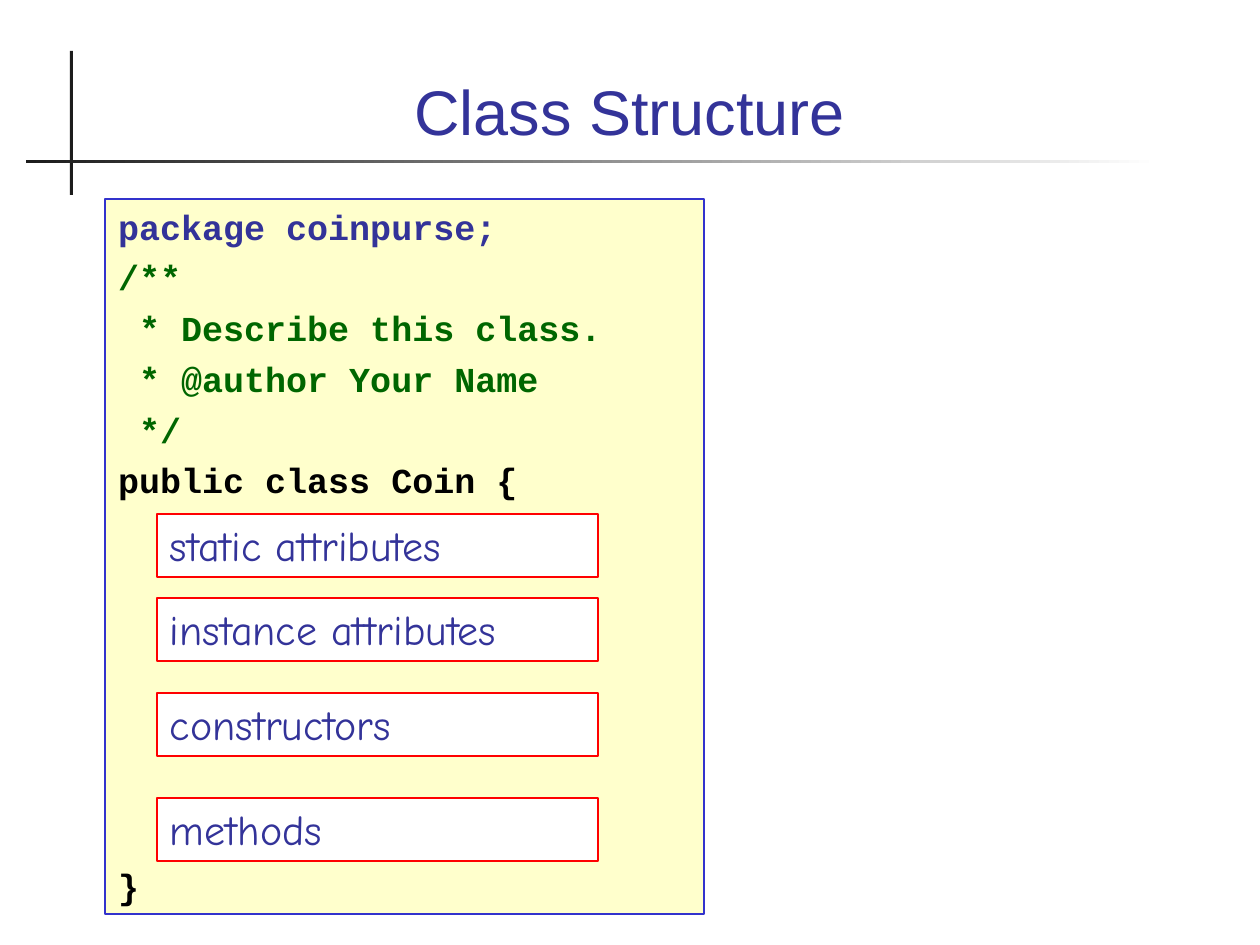
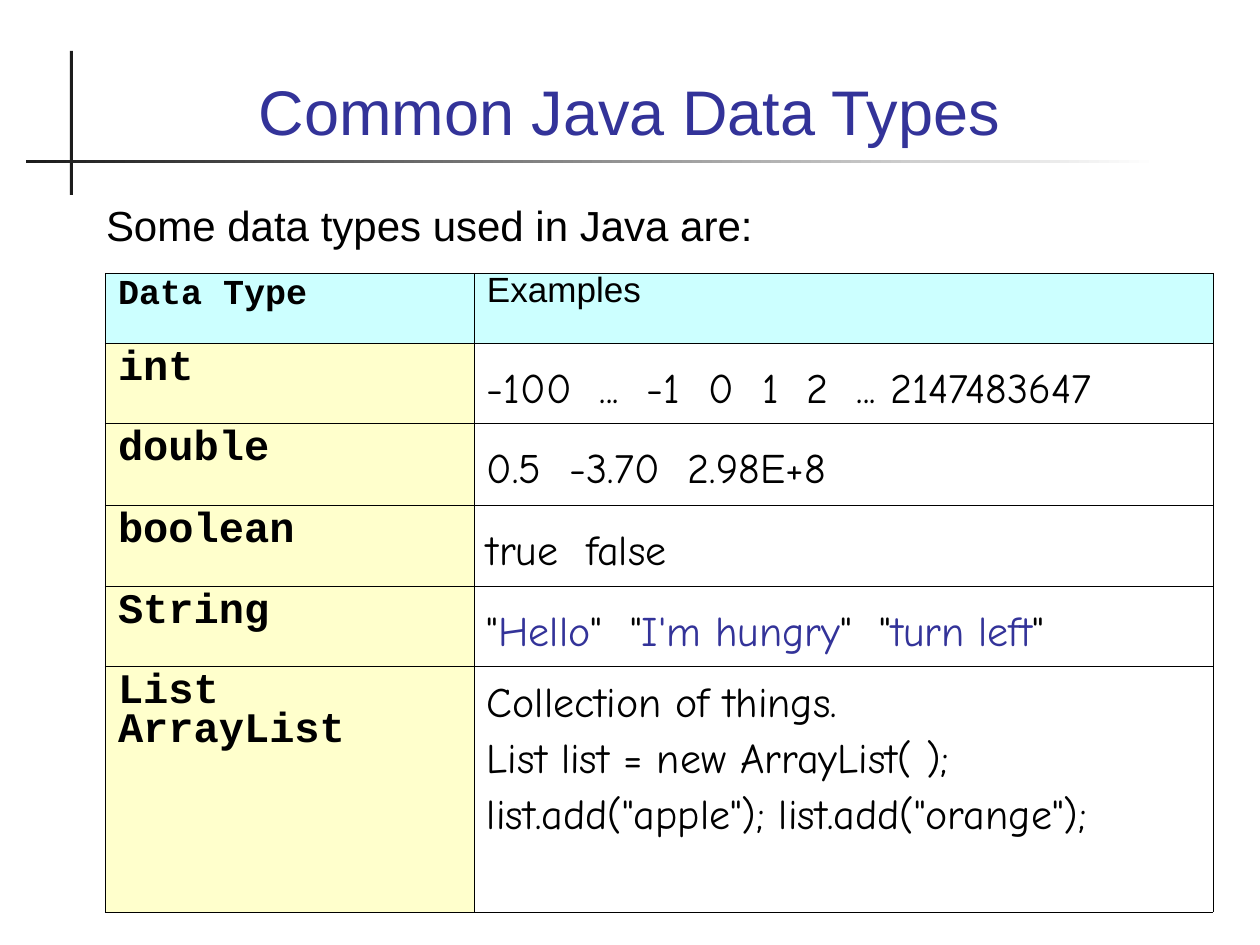
from dataclasses import dataclass

from lxml import etree
from pptx import Presentation
from pptx.dml.color import RGBColor
from pptx.enum.shapes import MSO_SHAPE
from pptx.enum.text import MSO_ANCHOR, MSO_AUTO_SIZE, PP_ALIGN
from pptx.oxml.ns import qn
from pptx.util import Pt

RECTANGLE = MSO_SHAPE.RECTANGLE
TOP, BOTTOM = MSO_ANCHOR.TOP, MSO_ANCHOR.BOTTOM
LEFT, CENTER = PP_ALIGN.LEFT, PP_ALIGN.CENTER
NO_AUTOFIT = MSO_AUTO_SIZE.NONE
TITLE_AND_BODY, TITLE_ONLY = 1, 5


@dataclass(frozen=True)
class Theme:
    """Colours, fonts and type sizes of the deck."""

    white: str = "FFFFFF"
    black: str = "000000"
    rule: str = "1C1C1C"
    accent: str = "333399"
    comment: str = "006600"
    code_fill: str = "FFFFCC"
    code_line: str = "3333CC"
    member_line: str = "FF0000"
    header_fill: str = "CCFFFF"
    sans: str = "Arial"
    mono: str = "Courier New"
    hand: str = "Comic Neue"
    title_size: int = 36
    text_size: int = 24
    code_size: int = 20


def px(length):
    """Turn pixels into EMU."""
    return length * 914400 // 126


def rgb(color):
    """Turn a hex string into a colour."""
    return RGBColor.from_string(color)


def set_insets(holder):
    """Give a text frame or table cell the common margins."""
    holder.margin_left = holder.margin_right = px(13)
    holder.margin_top = holder.margin_bottom = px(6)


class Deck:
    """Draws styled elements on the current slide."""

    def __init__(self, theme):
        self.theme = theme
        self.presentation = Presentation()
        self.presentation.slide_width = px(1260)
        self.presentation.slide_height = px(945)
        self.slide = None

    def add_slide(self, layout, title):
        """Start a slide with its title."""
        layouts = self.presentation.slide_layouts
        self.slide = self.presentation.slides.add_slide(layouts[layout])
        heading = self.slide.shapes.title
        self.place(heading, 84, 34, 1091, 120)
        heading.text_frame.text = title
        self.style(heading.text_frame, self.theme.sans, self.theme.title_size,
                   self.theme.accent, align=CENTER, anchor=BOTTOM)
        self.rules()

    def rules(self):
        """Draw the crossing rules beside the title."""
        self.box(70, 51, 3, 144, self.theme.rule)
        fading = self.box(26, 160, 1133, 3, self.theme.rule).fill
        fading.gradient()
        fading.gradient_angle = 180
        for stop, color in zip(fading.gradient_stops, (self.theme.white, self.theme.rule)):
            stop.color.rgb = rgb(color)

    def place(self, shape, left, top, width, height):
        """Move and size a shape."""
        shape.left, shape.top = px(left), px(top)
        shape.width, shape.height = px(width), px(height)

    def style(self, frame, font, size, color, bold=False, align=LEFT, anchor=TOP):
        """Format a text frame and every run in it."""
        frame.word_wrap = True
        frame.auto_size = NO_AUTOFIT
        frame.vertical_anchor = anchor
        set_insets(frame)
        for paragraph in frame.paragraphs:
            paragraph.alignment = align
            paragraph.space_before = Pt(0)
            self.style_runs(paragraph, font, size, color, bold)

    def style_runs(self, paragraph, font, size, color, bold=False):
        """Format the runs of one paragraph."""
        for run in paragraph.runs:
            run.font.name, run.font.size, run.font.bold = font, Pt(size), bold
            run.font.color.rgb = rgb(color)

    def body(self, text, left, top, width, height):
        """Fill the body placeholder with a line without bullet."""
        body = self.slide.placeholders[1]
        self.place(body, left, top, width, height)
        body.text_frame.text = text
        properties = body.text_frame.paragraphs[0]._p.get_or_add_pPr()
        properties.set("marL", "0")
        properties.set("indent", "0")
        etree.SubElement(properties, qn("a:buNone"))
        self.style(body.text_frame, self.theme.sans, self.theme.text_size, self.theme.black)

    def box(self, left, top, width, height, fill, line=None):
        """Draw a flat rectangle."""
        box = self.slide.shapes.add_shape(RECTANGLE, px(left), px(top), px(width), px(height))
        box.shadow.inherit = False
        box.fill.solid()
        box.fill.fore_color.rgb = rgb(fill)
        if line:
            box.line.color.rgb = rgb(line)
            box.line.width = Pt(0.75)
        else:
            box.line.fill.background()
        return box

    def code(self, lines, left, top, width, height, closing_gap):
        """Draw a code listing, leaving a gap before its last line."""
        theme = self.theme
        frame = self.box(left, top, width, height, theme.code_fill, theme.code_line).text_frame
        frame.text = "\n".join(text for text, _ in lines)
        self.style(frame, theme.mono, theme.code_size, theme.black, bold=True)
        for paragraph, (_, color) in zip(frame.paragraphs, lines):
            self.style_runs(paragraph, theme.mono, theme.code_size, color, bold=True)
        for paragraph in frame.paragraphs[1:]:
            paragraph.space_before = Pt(5)
        frame.paragraphs[-1].space_before = Pt(closing_gap)

    def member(self, text, top):
        """Draw a box for one kind of class member."""
        theme = self.theme
        frame = self.box(157, top, 441, 63, theme.white, theme.member_line).text_frame
        frame.text = text
        self.style(frame, theme.hand, theme.text_size, theme.accent)

    def table(self, header, rows, left, top, widths, heights):
        """Draw a table of types and examples."""
        theme = self.theme
        table = self.slide.shapes.add_table(
            len(rows) + 1, len(header), px(left), px(top),
            px(sum(widths)), px(sum(heights))).table
        table.first_row = table.horz_banding = False
        for column, width in zip(table.columns, widths):
            column.width = px(width)
        for row, height in zip(table.rows, heights):
            row.height = px(height)
        type_head, example_head = table.rows[0].cells
        self.cell(type_head, header[0], theme.header_fill, theme.mono, theme.code_size, 0.82)
        self.cell(example_head, header[1], theme.header_fill, theme.sans, theme.code_size, 0.77)
        for index, (data_type, examples) in enumerate(rows, 1):
            type_cell, example_cell = table.rows[index].cells
            self.cell(type_cell, data_type, theme.code_fill, theme.mono, theme.text_size, 0.82)
            spacing = 1.16 if "\n" in examples else 1.34
            self.cell(example_cell, examples, theme.white, theme.hand, theme.text_size, spacing)
        return table

    def cell(self, cell, text, fill, font, size, spacing):
        """Fill, border and format one table cell."""
        properties = cell._tc.get_or_add_tcPr()
        for side in ("a:lnL", "a:lnR", "a:lnT", "a:lnB"):
            border = etree.SubElement(properties, qn(side), w="762")
            paint = etree.SubElement(border, qn("a:solidFill"))
            etree.SubElement(paint, qn("a:srgbClr"), val=self.theme.black)
        cell.fill.solid()
        cell.fill.fore_color.rgb = rgb(fill)
        set_insets(cell)
        cell.text_frame.text = text
        for paragraph in cell.text_frame.paragraphs:
            paragraph.line_spacing = spacing
            self.style_runs(paragraph, font, size, self.theme.black, font == self.theme.mono)

    def highlight_strings(self, cell):
        """Colour the text between quotation marks."""
        paragraph = cell.text_frame.paragraphs[0]
        theme = self.theme
        pieces = paragraph.text.split('"')
        paragraph.text = ""
        for index, piece in enumerate(pieces):
            quoted = index % 2 == 1
            run = paragraph.add_run()
            run.text = piece if quoted else f'"{piece}"' if piece else '"'
        self.style_runs(paragraph, theme.hand, theme.text_size, theme.black)
        for run in paragraph.runs[1::2]:
            run.font.color.rgb = rgb(theme.accent)


def class_structure(deck):
    """Build the slide on the parts of a class."""
    theme = deck.theme
    deck.add_slide(TITLE_ONLY, "Class Structure")
    listing = [
        ("package coinpurse;", theme.accent),
        ("/**", theme.comment),
        (" * Describe this class.", theme.comment),
        (" * @author Your Name", theme.comment),
        (" */", theme.comment),
        ("public class Coin {", theme.black),
        ("}", theme.black),
    ]
    deck.code(listing, 105, 199, 599, 715, closing_gap=208)
    members = {"static attributes": 514, "instance attributes": 598,
               "constructors": 693, "methods": 798}
    for name, top in members.items():
        deck.member(name, top)


def data_types(deck):
    """Build the slide on common data types."""
    deck.add_slide(TITLE_AND_BODY, "Common Java Data Types")
    deck.body("Some data types used in Java are:", 93, 193, 1091, 81)
    rows = [
        ("int", "-100  ...  -1  0  1  2  ... 2147483647"),
        ("double", "0.5  -3.70  2.98E+8"),
        ("boolean", "true  false"),
        ("String", '"Hello"  "I\'m hungry"  "turn left"'),
        ("List ArrayList", "Collection of things.\nList list = new ArrayList( );\n"
                           'list.add("apple"); list.add("orange");'),
    ]
    table = deck.table(("Data Type", "Examples"), rows, 105, 273,
                       (369, 739), (70, 80, 82, 81, 80, 246))
    deck.highlight_strings(table.cell(4, 1))


def main():
    """Build and save the deck."""
    deck = Deck(Theme())
    class_structure(deck)
    data_types(deck)
    deck.presentation.save("out.pptx")


if __name__ == "__main__":
    main()
